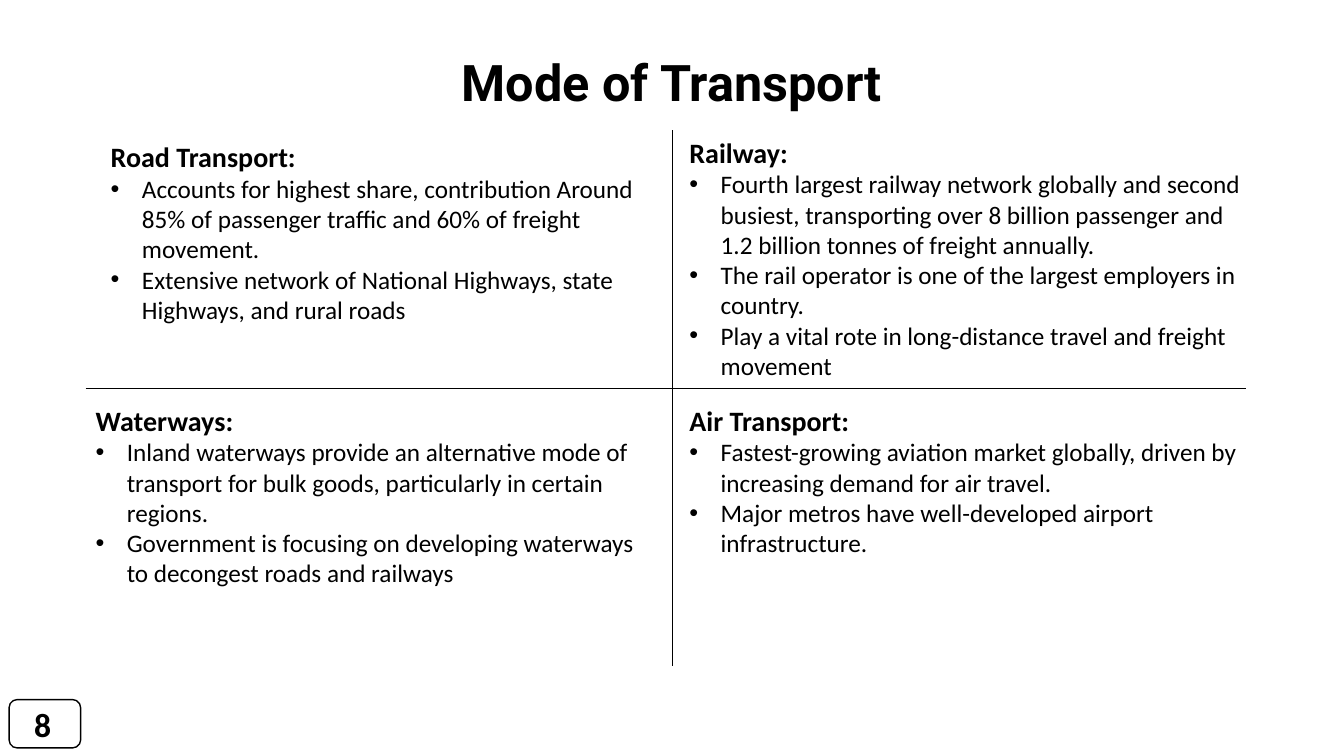
"""Build the Mode of Transport slide: four quadrants of bulleted text."""
from lxml.etree import SubElement
from pptx import Presentation
from pptx.dml.color import RGBColor
from pptx.enum.shapes import MSO_CONNECTOR, MSO_SHAPE
from pptx.enum.text import MSO_AUTO_SIZE, PP_ALIGN
from pptx.oxml.ns import qn
from pptx.util import Inches, Pt

BLACK = RGBColor(0, 0, 0)
WHITE = RGBColor(255, 255, 255)

HEADING = {"name": "Calibri", "size": Pt(20), "bold": True}
BODY = {"name": "Calibri", "size": Pt(18), "bold": False}
TITLE = {"name": "Roboto", "size": Pt(36), "bold": True}
NUMBER = {"name": "Calibri", "size": Pt(24), "bold": True}

QUADRANTS = [
    (1, 1.17, 1.5, "Road Transport:", [
        "Accounts for highest share, contribution Around 85% of passenger traffic and 60% of freight movement.",
        "Extensive network of National Highways, state Highways, and rural roads"]),
    (6.74, 1.29, 1, "Railway:", [
        "Fourth largest railway network globally and second busiest, transporting over 8 billion passenger and 1.2 billion tonnes of freight annually.",
        "The rail operator is one of the largest employers in country.",
        "Play a vital rote in long-distance travel and freight movement"]),
    (0.85, 3.95, 1, "Waterways:", [
        "Inland waterways provide an alternative mode of transport for bulk goods, particularly in certain regions.",
        "Government is focusing on developing waterways to decongest roads and railways"]),
    (6.74, 3.95, 1, "Air Transport:", [
        "Fastest-growing aviation market globally, driven by increasing demand for air travel.",
        "Major metros have well-developed airport infrastructure."]),
]


def add_text_frame(left, top, width, height):
    tf = s.shapes.add_textbox(*map(Inches, (left, top, width, height))).text_frame
    tf.word_wrap = True
    tf.auto_size = MSO_AUTO_SIZE.SHAPE_TO_FIT_TEXT
    return tf


def write(p, text, style):
    r = p.add_run()
    r.text = text
    for key, value in style.items():
        setattr(r.font, key, value)
    r.font.color.rgb = BLACK


prs = Presentation()
prs.slide_width, prs.slide_height = Inches(13.33), Inches(7.5)
s = prs.slides.add_slide(prs.slide_layouts[6])

for box, opacity, outlined in [((0.74, 0.43, 11.99, 6.58), 91, False),
                               ((0.09, 6.94, 0.71, 0.48), 70, True)]:
    sp = s.shapes.add_shape(MSO_SHAPE.ROUNDED_RECTANGLE, *map(Inches, box))
    sp.shadow.inherit = False
    sp.fill.solid()
    sp.fill.fore_color.rgb = WHITE
    color = sp.fill._xPr.find(qn("a:solidFill"))[0]
    SubElement(color, qn("a:alpha")).set("val", str(opacity * 1000))
    if outlined:
        sp.line.color.rgb = BLACK
        sp.line.width = Pt(1)
    else:
        sp.line.fill.background()

for ends in [(6.67, 1.29, 6.67, 6.61), (0.85, 3.85, 12.36, 3.85)]:
    divider = s.shapes.add_connector(MSO_CONNECTOR.STRAIGHT, *map(Inches, ends))
    divider.line.color.rgb = BLACK
    divider.line.width = Pt(0.5)
    SubElement(divider._element.spPr, qn("a:effectLst"))

p = add_text_frame(2.43, 0.46, 8.47, 0.71).paragraphs[0]
p.alignment = PP_ALIGN.CENTER
write(p, "Mode of Transport", TITLE)

for left, top, spacing, heading, points in QUADRANTS:
    tf = add_text_frame(left, top, 5.7, 0.72 + 0.61 * len(points))
    p = tf.paragraphs[0]
    p.line_spacing = float(spacing)
    write(p, heading, HEADING)
    for point in points:
        p = tf.add_paragraph()
        pPr = p._p.get_or_add_pPr()
        pPr.set("marL", str(Inches(0.31)))
        pPr.set("indent", str(-Inches(0.31)))
        SubElement(pPr, qn("a:buFont")).set("typeface", "Arial")
        SubElement(pPr, qn("a:buChar")).set("char", "•")
        write(p, point, BODY)

write(add_text_frame(0.24, 6.93, 0.56, 0.5).paragraphs[0], "8", NUMBER)

prs.save("out.pptx")
